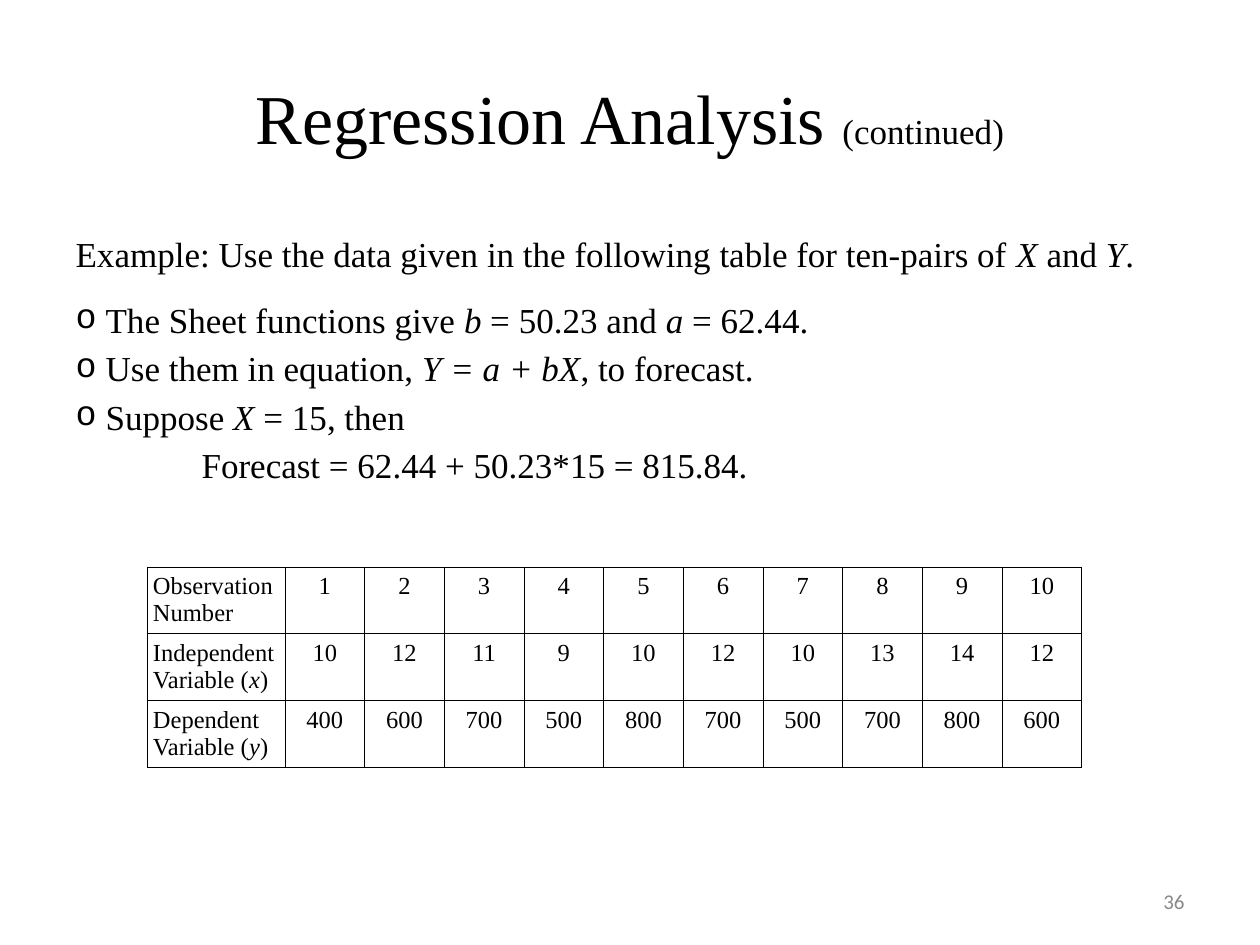
"""Build the regression analysis example slide."""
from lxml import etree
from pptx import Presentation
from pptx.dml import color as dml
from pptx.enum import text
from pptx.oxml import ns
from pptx import util as u

SCALE = 914400 / 126
COLORS = {"ink": "000000", "paper": "FFFFFF", "number": "898989"}
SERIF = "Times New Roman"
ALIGN = text.PP_ALIGN
ITEMS = [
    "The Sheet functions give _b_ = 50.23 and _a_ = 62.44.",
    "Use them in equation, _Y = a + bX_, to forecast.",
    "Suppose _X_ = 15, then",
]
ROWS = [
    ("Observation Number", range(1, 11)),
    ("Independent Variable (_x_)", [10, 12, 11, 9, 10, 12, 10, 13, 14, 12]),
    ("Dependent Variable (_y_)",
     [400, 600, 700, 500, 800, 700, 500, 700, 800, 600]),
]


def px(length):
    """Turn pixels into EMU."""
    return u.Emu(round(length * SCALE))


def rgb(name):
    """Look up a named colour."""
    return dml.RGBColor.from_string(COLORS[name])


def place(box, left, top, width, height):
    """Set the position and size of a box."""
    box.left, box.top, box.width, box.height = map(px, (left, top, width, height))


def write(para, content, size=20, font=SERIF, color="ink", align=ALIGN.LEFT,
          spacing=1.0, after=0):
    """Add text to a paragraph, with the parts between underscores in italics."""
    para.alignment = align
    para.line_spacing = spacing
    para.space_before = u.Pt(0)
    para.space_after = u.Pt(after)
    for index, part in enumerate(content.split("_")):
        if part:
            span = para.add_run()
            span.text = part
            span.font.size = u.Pt(size)
            span.font.name = font
            span.font.bold = False
            span.font.italic = index % 2 == 1
            span.font.color.rgb = rgb(color)


def indent(para, margin=0, hanging=0, bullet=None):
    """Set the margin, hanging indent and bullet of a paragraph."""
    props = para._p.get_or_add_pPr()
    props.set("marL", str(px(margin)))
    props.set("indent", str(-px(hanging)))
    if bullet:
        etree.SubElement(props, ns.qn("a:buFont"), typeface="Courier New")
        etree.SubElement(props, ns.qn("a:buChar"), char=bullet)
    else:
        etree.SubElement(props, ns.qn("a:buNone"))


def add_title(page):
    """Fill the title placeholder."""
    box = page.shapes.title
    place(box, 63, 38, 1134, 157)
    box.text_frame.vertical_anchor = text.MSO_ANCHOR.MIDDLE
    para = box.text_frame.paragraphs[0]
    write(para, "Regression Analysis ", size=40, align=ALIGN.CENTER)
    write(para, "(continued)", align=ALIGN.CENTER)


def add_body(page):
    """Fill the body placeholder with the worked example."""
    box = page.placeholders[1]
    place(box, 63, 220, 1124, 325)
    frame = box.text_frame
    frame.auto_size = text.MSO_AUTO_SIZE.NONE
    para = frame.paragraphs[0]
    indent(para)
    write(para, "Example: Use the data given in the following table for "
          "ten-pairs of _X_ and _Y_.", align=ALIGN.JUSTIFY, spacing=1.15, after=10)
    for item in ITEMS:
        para = frame.add_paragraph()
        indent(para, margin=30, hanging=30, bullet="o")
        write(para, item, spacing=1.15)
    para = frame.add_paragraph()
    indent(para, margin=126)
    write(para, "Forecast = 62.44 + 50.23*15 = 815.84.", spacing=1.15)


def add_borders(cell):
    """Draw a thin line on each side of a cell."""
    props = cell._tc.get_or_add_tcPr()
    for index, side in enumerate(("lnL", "lnR", "lnT", "lnB")):
        line = etree.Element(ns.qn(f"a:{side}"), w=str(u.Pt(0.45)))
        fill = etree.SubElement(line, ns.qn("a:solidFill"))
        etree.SubElement(fill, ns.qn("a:srgbClr"), val=COLORS["ink"])
        props.insert(index, line)


def fill_cell(cell, content, align):
    """Write and format one table cell."""
    cell.margin_left = cell.margin_right = cell.margin_top = px(6)
    cell.margin_bottom = px(5)
    cell.fill.solid()
    cell.fill.fore_color.rgb = rgb("paper")
    add_borders(cell)
    write(cell.text_frame.paragraphs[0], content, size=14, align=align)


def add_data(page):
    """Add the table of observations."""
    table = page.shapes.add_table(
        len(ROWS), 11, px(147), px(567), px(935), px(200)).table
    table.first_row = table.horz_banding = False
    for index, column in enumerate(table.columns):
        column.width = px(797) // 10 if index else px(138)
    for row, (label, values) in enumerate(ROWS):
        fill_cell(table.cell(row, 0), label, ALIGN.LEFT)
        for column, value in enumerate(values, 1):
            fill_cell(table.cell(row, column), str(value), ALIGN.CENTER)


def add_number(page):
    """Add the page number."""
    box = page.shapes.add_textbox(px(903), px(876), px(294), px(50))
    box.text_frame.word_wrap = True
    box.text_frame.vertical_anchor = text.MSO_ANCHOR.MIDDLE
    write(box.text_frame.paragraphs[0], "36", size=12, font="Calibri",
          color="number", align=ALIGN.RIGHT)


def main():
    """Build and save the deck."""
    deck = Presentation()
    deck.slide_width, deck.slide_height = px(1260), px(945)
    page = deck.slides.add_slide(deck.slide_layouts[1])
    add_title(page)
    add_body(page)
    add_data(page)
    add_number(page)
    deck.save("out.pptx")


if __name__ == "__main__":
    main()
